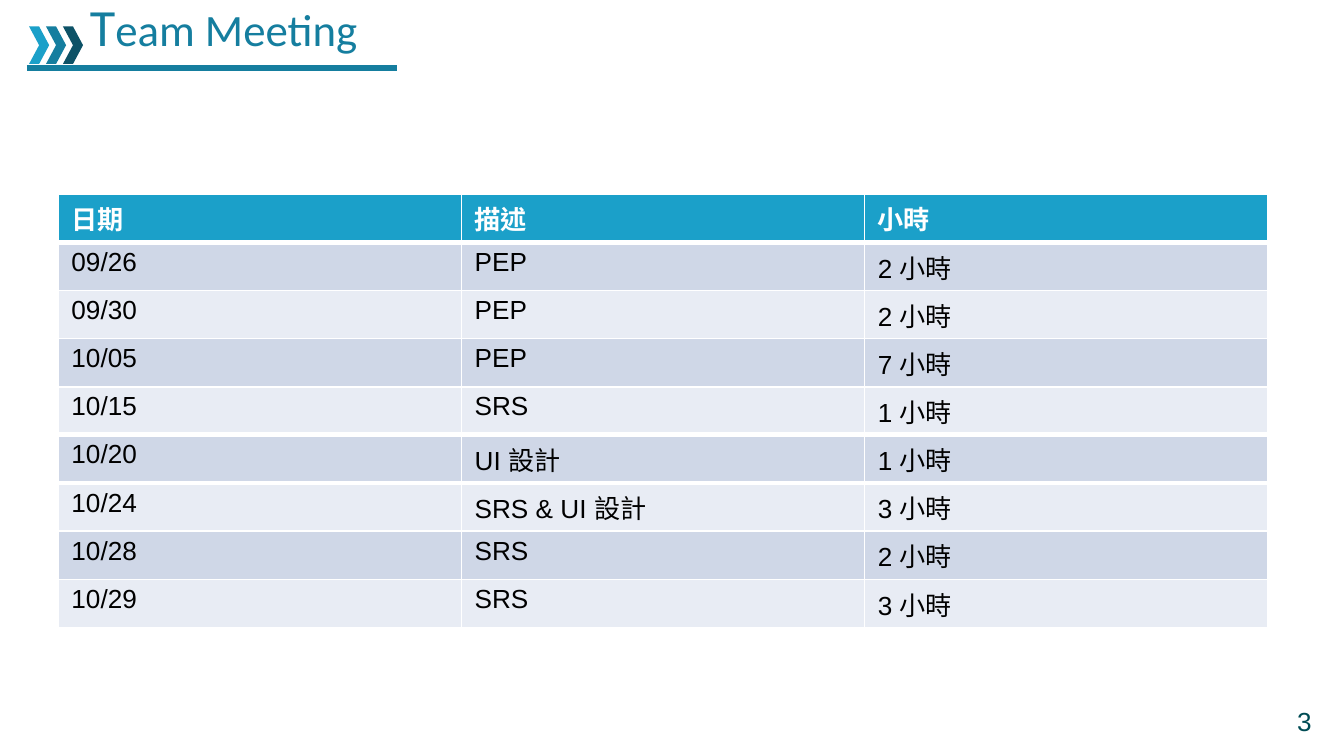
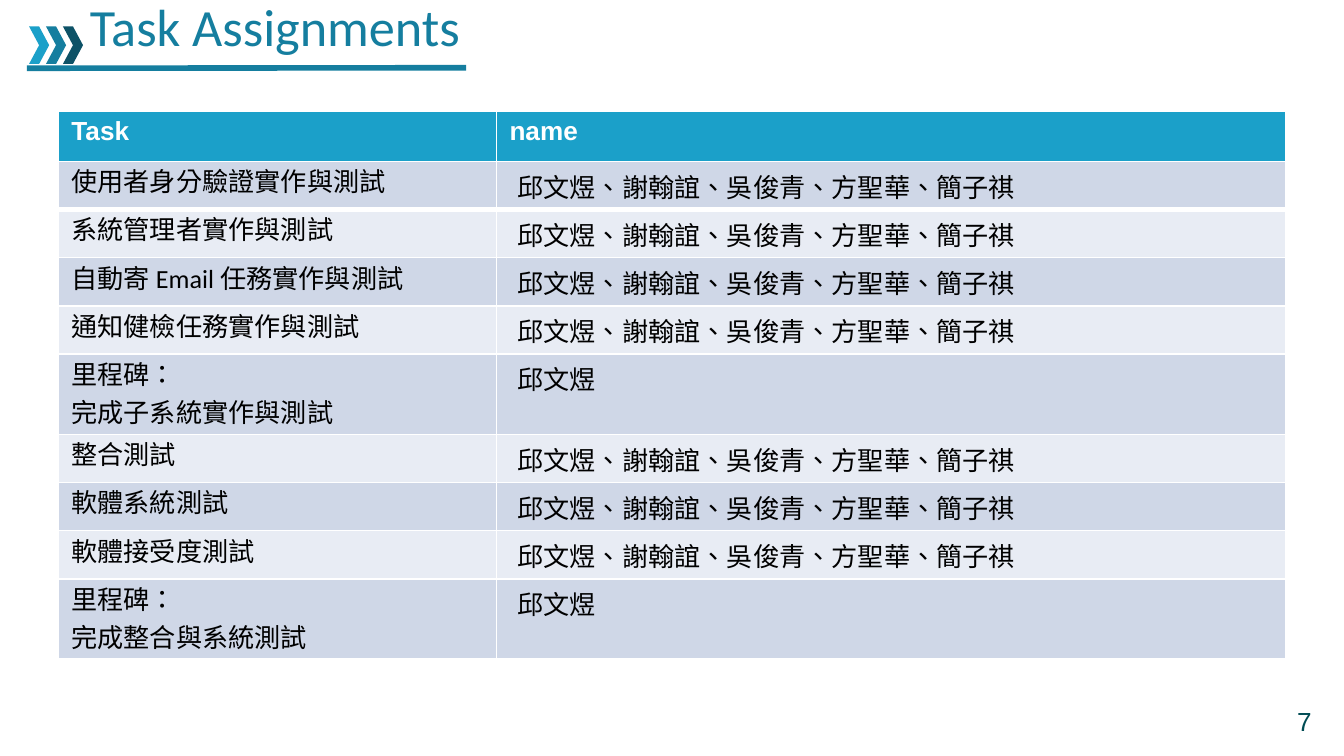
"""Build the team meeting and task assignment slides."""
from dataclasses import dataclass
from typing import NamedTuple

from lxml import etree
from pptx import Presentation
from pptx.dml.color import RGBColor
from pptx.enum.shapes import MSO_CONNECTOR, MSO_SHAPE
from pptx.enum.text import MSO_ANCHOR, PP_ALIGN
from pptx.oxml.ns import qn
from pptx.util import Cm, Pt

STRAIGHT = MSO_CONNECTOR.STRAIGHT
CHEVRON = MSO_SHAPE.CHEVRON
MIDDLE = MSO_ANCHOR.MIDDLE
RIGHT = PP_ALIGN.RIGHT
BLANK_LAYOUT = 6
LANGUAGE = "zh-TW"


@dataclass(frozen=True)
class Theme:
    light: str = "1BA0C9"
    main: str = "157E9F"
    dark: str = "0D5267"
    page_ink: str = "004C54"
    ink: str = "000000"
    white: str = "FFFFFF"
    odd_band: str = "CFD7E7"
    even_band: str = "E8ECF4"
    title_font: str = "Calibri"
    body_font: str = "Arial"
    title_size: int = 28
    small_title_size: int = 24
    body_size: int = 14
    thin: int = 1
    thick: int = 3


THEME = Theme()


class Insets(NamedTuple):
    left: float
    top: float
    right: float
    bottom: float


class TextStyle(NamedTuple):
    font: str
    size: int
    color: str
    bold: bool = False


class TitlePart(NamedTuple):
    text: str
    size: int


class Column(NamedTuple):
    heading: str
    width: float
    insets: Insets
    font: str = THEME.body_font
    indent: float = 0


@dataclass(frozen=True)
class Schedule:
    top: float
    columns: list[Column]
    rows: list[tuple[str, ...]]
    header_height: float
    thick_after: set[int]


@dataclass(frozen=True)
class Page:
    number: int
    title: list[TitlePart]
    title_width: float
    rule_end: tuple[float, float]
    schedule: Schedule


TITLE_INSETS = Insets(0.25, 0.25, 0.25, 0.25)
CELL_INSETS = Insets(0.25, 0.1, 0.25, 0.1)
TASK_INSETS = Insets(0.1, 0, 0, 0.08)
PAGE_INSETS = Insets(0.18, 0.1, 0.18, 0.1)
TABLE_LEFT = 1.1
ROW_HEIGHT = 0.91
MILESTONE_HEIGHT = 1.52
TEAM = "邱文煜、謝翰誼、吳俊青、方聖華、簡子祺"
LEADER = "邱文煜"

MEETINGS = [
    ("09/26", "PEP", 2), ("09/30", "PEP", 2), ("10/05", "PEP", 7),
    ("10/15", "SRS", 1), ("10/20", "UI 設計", 1), ("10/24", "SRS & UI 設計", 3),
    ("10/28", "SRS", 2), ("10/29", "SRS", 3),
]
TASKS = [
    "使用者身分驗證實作與測試", "系統管理者實作與測試", "自動寄 Email 任務實作與測試",
    "通知健檢任務實作與測試", "里程碑：\v完成子系統實作與測試", "整合測試",
    "軟體系統測試", "軟體接受度測試", "里程碑：\v完成整合與系統測試",
]

PAGES = [
    Page(
        3,
        [TitlePart("T", THEME.title_size), TitlePart("eam Meeting", THEME.small_title_size)],
        8.33,
        (7.5, 1.29),
        Schedule(
            3.67,
            [Column(heading, 7.62, CELL_INSETS) for heading in ("日期", "描述", "小時")],
            [(date, topic, f"{hours} 小時") for date, topic, hours in MEETINGS],
            ROW_HEIGHT, {0, 4, 5},
        ),
    ),
    Page(
        7,
        [TitlePart("Task Assignments", THEME.title_size)],
        10.16,
        (8.81, 1.28),
        Schedule(
            2.1,
            [
                Column("Task", 8.28, TASK_INSETS, THEME.title_font, 0.15),
                Column("name", 14.92, CELL_INSETS, indent=0.15),
            ],
            [(task, LEADER if "\v" in task else TEAM) for task in TASKS],
            0.95, {1},
        ),
    ),
]


def rgb(color: str) -> RGBColor:
    """Turn a hex code into a colour."""
    return RGBColor.from_string(color)


def set_insets(target, insets: Insets) -> None:
    """Set the inner margins of a cell or text frame."""
    target.margin_left, target.margin_top, target.margin_right, target.margin_bottom = map(Cm, insets)


def style_run(run, style: TextStyle) -> None:
    """Apply a text style to one run."""
    run.font.name = style.font
    run.font.size = Pt(style.size)
    run.font.bold = style.bold
    run.font.color.rgb = rgb(style.color)


def indent_paragraph(paragraph, indent: float) -> None:
    """Set the left indent of a whole paragraph."""
    properties = paragraph._p.get_or_add_pPr()
    properties.set("marL", str(Cm(indent)))
    properties.set("indent", "0")


def style_paragraph(paragraph, style: TextStyle, indent: float = 0) -> None:
    """Style all runs and line breaks, and indent the paragraph."""
    for run in paragraph.runs:
        style_run(run, style)
        run._r.get_or_add_rPr().set("lang", LANGUAGE)
    for line_break in paragraph._p.findall(qn("a:br")):
        etree.SubElement(line_break, qn("a:rPr"), lang=LANGUAGE, sz=str(style.size * 100))
    indent_paragraph(paragraph, indent)


def draw_title(slide, page: Page) -> None:
    """Draw the underlined title with its three chevrons."""
    header = slide.shapes.add_group_shape().shapes
    end_x, end_y = page.rule_end
    rule = header.add_connector(STRAIGHT, Cm(0.51), Cm(1.29), Cm(end_x), Cm(end_y))
    rule.line.color.rgb = rgb(THEME.main)
    rule.line.width = Pt(THEME.thick)
    etree.SubElement(rule._element.spPr, qn("a:effectLst"))

    for index, color in enumerate((THEME.light, THEME.main, THEME.dark)):
        chevron = header.add_shape(CHEVRON, Cm(0.55 + index * 0.32), Cm(0.5), Cm(0.38), Cm(0.71))
        chevron.shadow.inherit = False
        chevron.fill.solid()
        chevron.fill.fore_color.rgb = rgb(color)
        chevron.line.fill.background()

    frame = header.add_textbox(Cm(-0.61), Cm(-0.36), Cm(page.title_width), Cm(1.4)).text_frame
    frame.word_wrap = True
    set_insets(frame, TITLE_INSETS)
    paragraph = frame.paragraphs[0]
    paragraph.space_before = Pt(5.6)
    indent_paragraph(paragraph, 2.06)
    for part in page.title:
        run = paragraph.add_run()
        run.text = part.text
        style_run(run, TextStyle(THEME.title_font, part.size, THEME.main))


def set_borders(cell, top: int, bottom: int) -> None:
    """Give a cell white borders, with the widths of its top and bottom edges."""
    properties = cell._tc.get_or_add_tcPr()
    for side, width in (("L", THEME.thin), ("R", THEME.thin), ("T", top), ("B", bottom)):
        edge = etree.SubElement(properties, qn(f"a:ln{side}"), w=str(Pt(width)))
        fill = etree.SubElement(edge, qn("a:solidFill"))
        etree.SubElement(fill, qn("a:srgbClr"), val=THEME.white)


def fill_cell(cell, text: str, column: Column, row: int, thick_after: set[int]) -> None:
    """Write and format one table cell."""
    is_header = row == 0
    cell.text_frame.text = text
    set_insets(cell, CELL_INSETS if is_header else column.insets)
    if is_header:
        style = TextStyle(THEME.body_font, THEME.body_size, THEME.white, True)
        band = THEME.light
    else:
        style = TextStyle(column.font, THEME.body_size, THEME.ink)
        band = THEME.odd_band if row % 2 else THEME.even_band
    style_paragraph(cell.text_frame.paragraphs[0], style, 0 if is_header else column.indent)
    top, bottom = (THEME.thick if edge in thick_after else THEME.thin for edge in (row - 1, row))
    set_borders(cell, top, bottom)
    cell.fill.solid()
    cell.fill.fore_color.rgb = rgb(band)


def draw_schedule(slide, schedule: Schedule) -> None:
    """Draw the banded table."""
    columns = schedule.columns
    rows = [tuple(column.heading for column in columns), *schedule.rows]
    heights = [schedule.header_height] + [
        MILESTONE_HEIGHT if "\v" in row[0] else ROW_HEIGHT for row in schedule.rows
    ]
    table = slide.shapes.add_table(
        len(rows), len(columns), Cm(TABLE_LEFT), Cm(schedule.top),
        Cm(sum(column.width for column in columns)), Cm(sum(heights)),
    ).table
    table.horz_banding = False
    for index, column in enumerate(columns):
        table.columns[index].width = Cm(column.width)
    for row_index, (texts, height) in enumerate(zip(rows, heights)):
        table.rows[row_index].height = Cm(height)
        for column_index, (text, column) in enumerate(zip(texts, columns)):
            cell = table.cell(row_index, column_index)
            fill_cell(cell, text, column, row_index, schedule.thick_after)


def draw_page_number(slide, number: int) -> None:
    """Write the page number at the bottom right."""
    frame = slide.shapes.add_textbox(Cm(19.25), Cm(13.25), Cm(5.72), Cm(0.76)).text_frame
    frame.word_wrap = True
    frame.vertical_anchor = MIDDLE
    set_insets(frame, PAGE_INSETS)
    frame.text = str(number)
    paragraph = frame.paragraphs[0]
    paragraph.alignment = RIGHT
    style_paragraph(paragraph, TextStyle(THEME.body_font, THEME.body_size, THEME.page_ink))


def main() -> None:
    """Build all pages and save the presentation."""
    deck = Presentation()
    deck.slide_width, deck.slide_height = Cm(25.4), Cm(14.29)
    for page in PAGES:
        slide = deck.slides.add_slide(deck.slide_layouts[BLANK_LAYOUT])
        draw_title(slide, page)
        draw_schedule(slide, page.schedule)
        draw_page_number(slide, page.number)
    deck.save("out.pptx")


if __name__ == "__main__":
    main()
